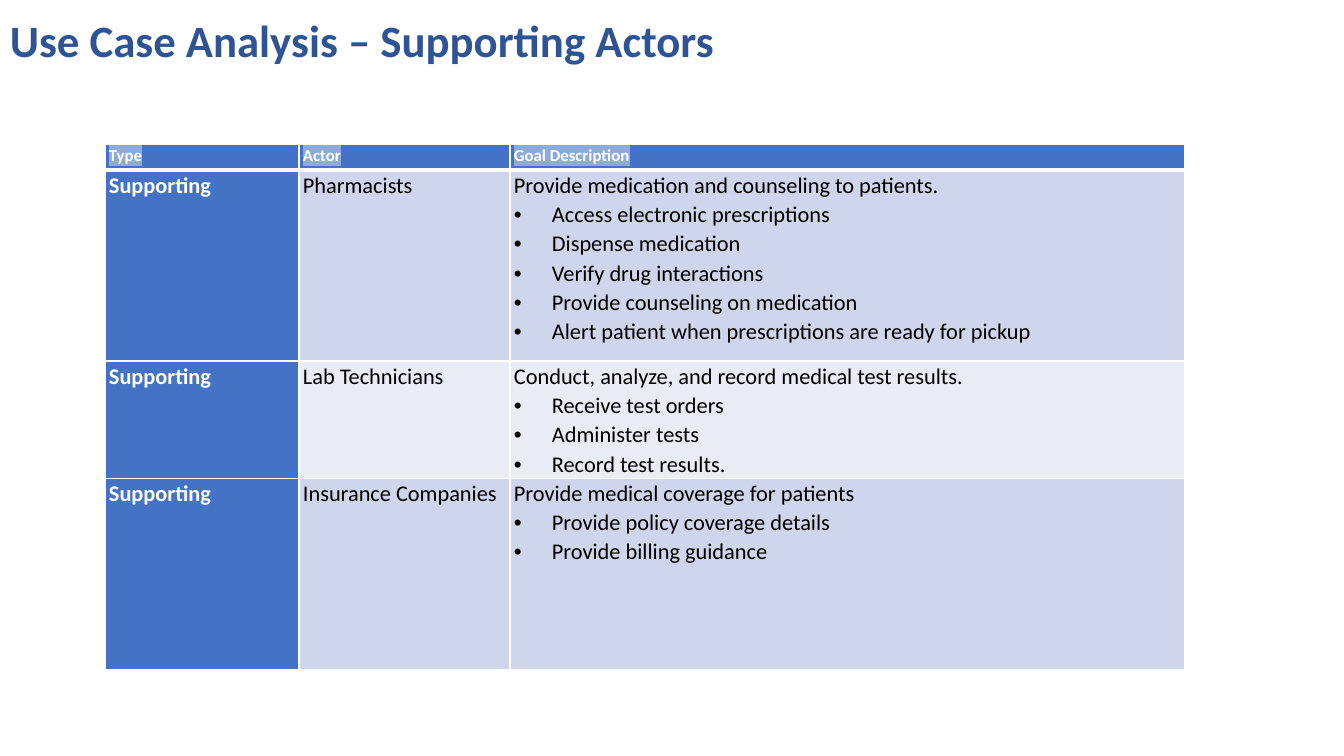
from lxml.etree import SubElement
from pptx import Presentation
from pptx.dml.color import RGBColor
from pptx.enum.text import MSO_ANCHOR
from pptx.oxml.ns import qn
from pptx.util import Pt

PX = 914400 / 100.8
COLORS = {
    "title": "2F5496",
    "heading": "4472C4",
    "highlight": "8EAADB",
    "odd": "CFD5EA",
    "even": "E9EBF5",
    "white": "FFFFFF",
    "black": "000000",
}


def px(length):
    return round(length * PX)


def write(frame, text, size=16, color="black", bold=False, spacing=1.07,
          bullet=False, highlight=None):
    paragraph = frame.paragraphs[0]
    if paragraph.runs:
        paragraph = frame.add_paragraph()
    paragraph.line_spacing = spacing
    if bullet:
        properties = paragraph._p.get_or_add_pPr()
        properties.set("marL", str(px(38)))
        properties.set("indent", str(px(-38)))
        SubElement(properties, qn("a:buFont"), typeface="Arial")
        SubElement(properties, qn("a:buChar"), char="•")
    run = paragraph.add_run()
    run.text = text
    run.font.size = Pt(size)
    run.font.bold = bold
    run.font.color.rgb = RGBColor.from_string(COLORS[color])
    if highlight:
        mark = SubElement(run._r.get_or_add_rPr(), qn("a:highlight"))
        SubElement(mark, qn("a:srgbClr"), val=COLORS[highlight])
    run.font.name = "Calibri"


presentation = Presentation()
presentation.slide_width = px(1344)
presentation.slide_height = px(756)
slide = presentation.slides.add_slide(presentation.slide_layouts[6])

headings = ["Type", "Actor", "Goal Description"]
actors = [
    ("Pharmacists", [
        "Provide medication and counseling to patients.",
        "Access electronic prescriptions",
        "Dispense medication",
        "Verify drug interactions",
        "Provide counseling on medication",
        "Alert patient when prescriptions are ready for pickup",
    ]),
    ("Lab Technicians", [
        "Conduct, analyze, and record medical test results.",
        "Receive test orders",
        "Administer tests",
        "Record test results.",
    ]),
    ("Insurance Companies", [
        "Provide medical coverage for patients",
        "Provide policy coverage details",
        "Provide billing guidance",
    ]),
]
column_widths = [194, 211, 675]
row_heights = [26, 191, 114, 191]

actor_table = slide.shapes.add_table(
    len(row_heights), len(column_widths), px(105), px(144),
    px(sum(column_widths)), px(sum(row_heights))).table
for column, width in zip(actor_table.columns, column_widths):
    column.width = px(width)
for row, height in zip(actor_table.rows, row_heights):
    row.height = px(height)

for row_index, row in enumerate(actor_table.rows):
    for column_index, cell in enumerate(row.cells):
        cell.margin_left = cell.margin_right = px(4)
        cell.margin_top = cell.margin_bottom = 0
        for side in "LRTB":
            thick = (row_index, side) in [(0, "B"), (1, "T")]
            border = SubElement(cell._tc.get_or_add_tcPr(), qn(f"a:ln{side}"),
                                w=str(Pt(3 if thick else 1)))
            paint = SubElement(border, qn("a:solidFill"))
            SubElement(paint, qn("a:srgbClr"), val=COLORS["white"])
        band = "odd" if row_index % 2 else "even"
        if row_index == 0 or column_index == 0:
            band = "heading"
        cell.fill.solid()
        cell.fill.fore_color.rgb = RGBColor.from_string(COLORS[band])

for column_index, heading in enumerate(headings):
    write(actor_table.cell(0, column_index).text_frame, heading, size=12,
          color="white", bold=True, highlight="highlight")

for row_index, (actor, goals) in enumerate(actors, start=1):
    kind_cell, actor_cell, goal_cell = actor_table.rows[row_index].cells
    write(kind_cell.text_frame, "Supporting", color="white", bold=True)
    write(actor_cell.text_frame, actor)
    for goal_index, goal in enumerate(goals):
        write(goal_cell.text_frame, goal, bullet=goal_index > 0)

title = slide.shapes.add_textbox(0, 0, px(1053), px(86)).text_frame
title.word_wrap = True
title.vertical_anchor = MSO_ANCHOR.MIDDLE
write(title, "Use Case Analysis – Supporting Actors", size=32, color="title",
      bold=True, spacing=0.9)

presentation.save("out.pptx")
